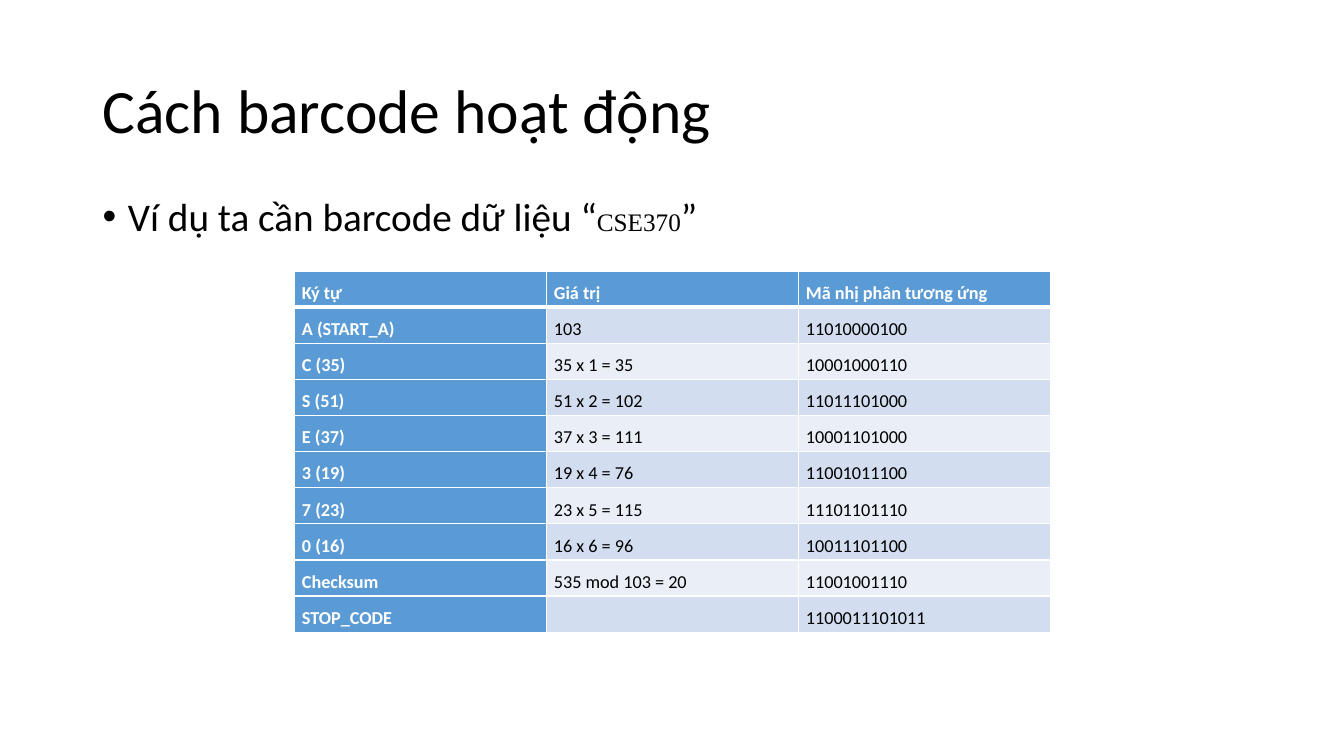
from lxml.etree import SubElement
from pptx import Presentation
from pptx.dml.color import RGBColor
from pptx.enum.text import MSO_ANCHOR, PP_ALIGN
from pptx.oxml.ns import qn
from pptx.util import Cm, Pt

HEADING = "Cách barcode hoạt động"
EXAMPLE = [
    ("Ví dụ ta cần barcode dữ liệu “", "Calibri", 28),
    ("CSE370", "Times New Roman", 18),
    ("”", "Calibri", 28),
]
ENCODING = [
    ("Ký tự", "Giá trị", "Mã nhị phân tương ứng"),
    ("A (START_A)", "103", "11010000100"),
    ("C (35)", "35 x 1 = 35", "10001000110"),
    ("S (51)", "51 x 2 = 102", "11011101000"),
    ("E (37)", "37 x 3 = 111", "10001101000"),
    ("3 (19)", "19 x 4 = 76", "11001011100"),
    ("7 (23)", "23 x 5 = 115", "11101101110"),
    ("0 (16)", "16 x 6 = 96", "10011101100"),
    ("Checksum", "535 mod 103 = 20", "11001001110"),
    ("STOP_CODE", "", "1100011101011"),
]

BLACK = RGBColor(0x00, 0x00, 0x00)
WHITE = RGBColor(0xFF, 0xFF, 0xFF)
BLUE = RGBColor(0x5B, 0x9B, 0xD5)
BANDS = [RGBColor(0xEA, 0xEF, 0xF7), RGBColor(0xD2, 0xDE, 0xEF)]

MARGIN, CONTENT_WIDTH = Cm(2.33), Cm(29.21)
COLUMN_WIDTH, ROW_HEIGHT = Cm(6.35), Cm(0.91)


def place(holder, top, height):
    holder.left, holder.top = MARGIN, top
    holder.width, holder.height = CONTENT_WIDTH, height


def add_run(paragraph, words, font, size, color, bold=False):
    run = paragraph.add_run()
    run.text = words
    run.font.name, run.font.size = font, Pt(size)
    run.font.color.rgb, run.font.bold = color, bold


def add_borders(cell, row):
    properties = cell._tc.get_or_add_tcPr()
    widths = {"L": 1, "R": 1, "T": 3 if row == 1 else 1, "B": 3 if row == 0 else 1}
    for side, width in widths.items():
        border = SubElement(properties, qn(f"a:ln{side}"), w=str(Pt(width)))
        fill = SubElement(border, qn("a:solidFill"))
        SubElement(fill, qn("a:srgbClr"), val=str(WHITE))


def fill_cell(cell, words, row, column):
    is_header = row == 0 or column == 0
    add_borders(cell, row)
    cell.fill.solid()
    cell.fill.fore_color.rgb = BLUE if is_header else BANDS[row % 2]
    cell.margin_left = cell.margin_right = Cm(0.19)
    cell.margin_top = cell.margin_bottom = 0
    if words:
        paragraph = cell.text_frame.paragraphs[0]
        paragraph.alignment, paragraph.line_spacing = PP_ALIGN.JUSTIFY, 1.5
        add_run(paragraph, words, "Calibri", 13, WHITE if is_header else BLACK, is_header)


def main():
    """Build the slide on how a barcode encodes its data."""
    deck = Presentation()
    deck.slide_width, deck.slide_height = Cm(33.87), Cm(19.05)
    slide = deck.slides.add_slide(deck.slide_layouts[1])

    title = slide.shapes.title
    place(title, Cm(1.01), Cm(3.68))
    title.text_frame.vertical_anchor = MSO_ANCHOR.MIDDLE
    heading = title.text_frame.paragraphs[0]
    heading.alignment, heading.line_spacing = PP_ALIGN.LEFT, 0.9
    add_run(heading, HEADING, "Calibri", 44, BLACK)

    body = slide.placeholders[1]
    place(body, Cm(4.85), Cm(3.91))
    example = body.text_frame.paragraphs[0]
    example.line_spacing, example.space_before = 0.9, Pt(10)
    indents = example._p.get_or_add_pPr()
    indents.set("marL", str(Cm(0.64)))
    indents.set("indent", str(-Cm(0.64)))
    for words, font, size in EXAMPLE:
        add_run(example, words, font, size, BLACK)

    row_count, column_count = len(ENCODING), len(ENCODING[0])
    table = slide.shapes.add_table(
        row_count, column_count, Cm(7.42), Cm(6.83),
        COLUMN_WIDTH * column_count, ROW_HEIGHT * row_count,
    ).table
    table.first_col = True
    for column in table.columns:
        column.width = COLUMN_WIDTH
    for row, entries in enumerate(ENCODING):
        table.rows[row].height = ROW_HEIGHT
        for column, words in enumerate(entries):
            fill_cell(table.cell(row, column), words, row, column)

    deck.save("out.pptx")


if __name__ == "__main__":
    main()
